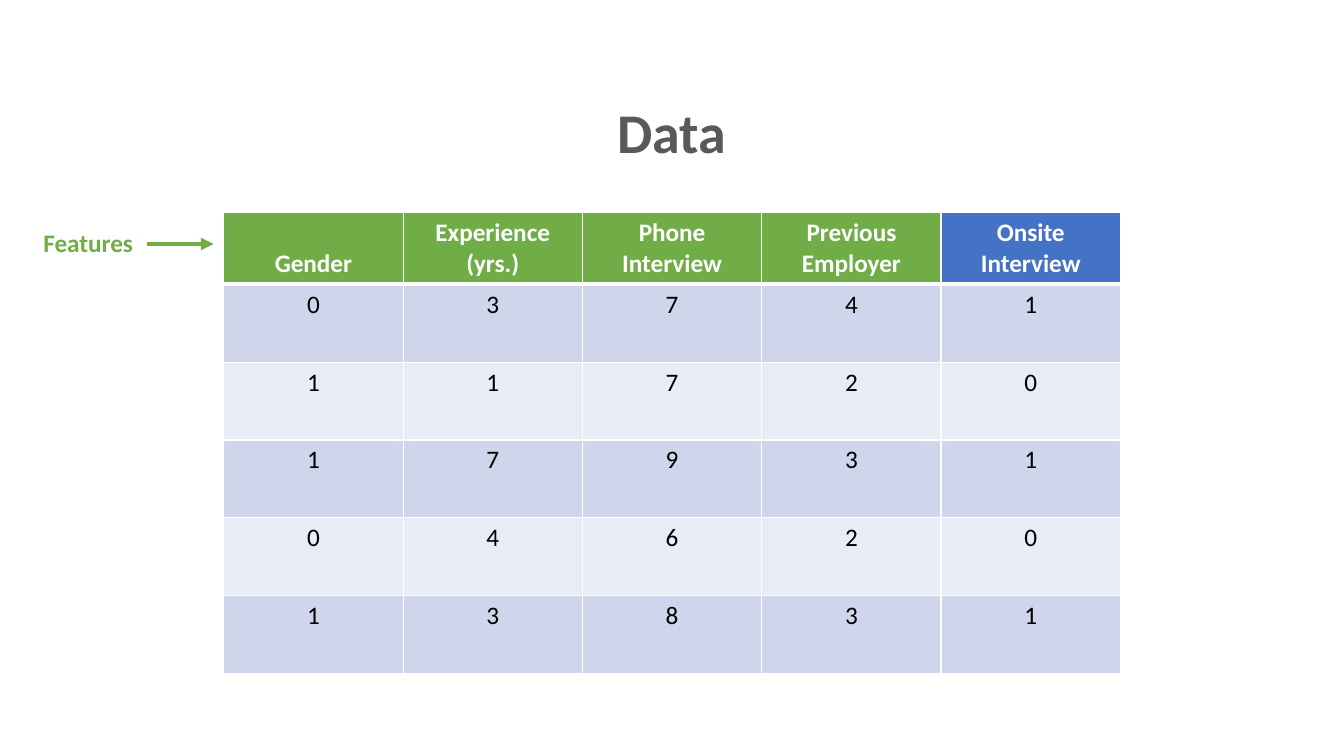
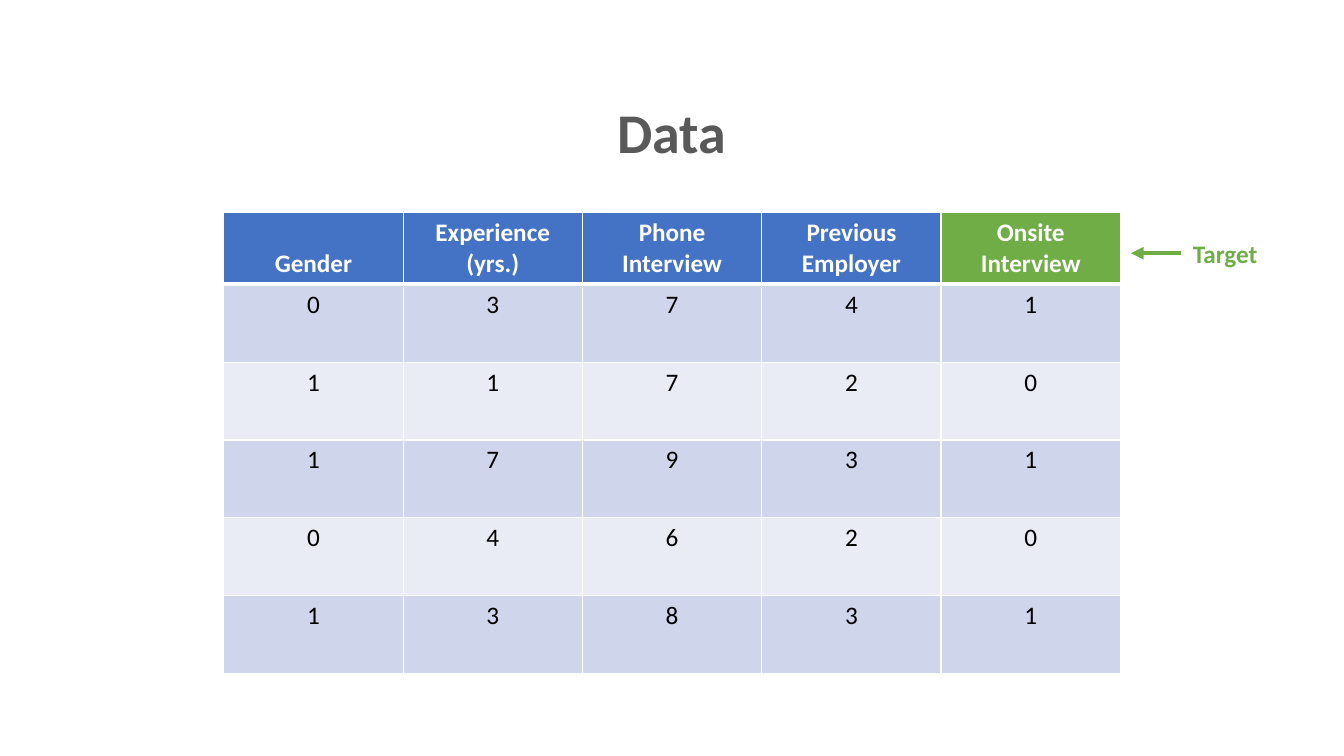
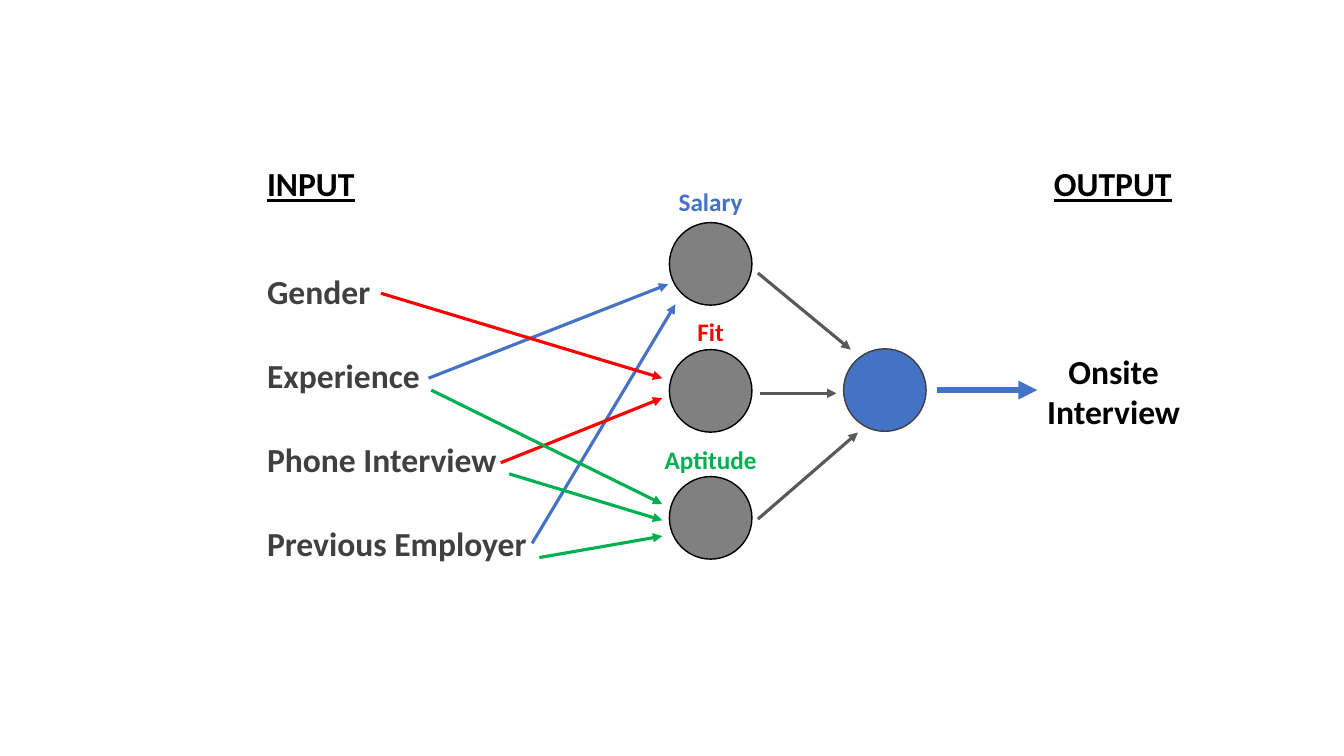
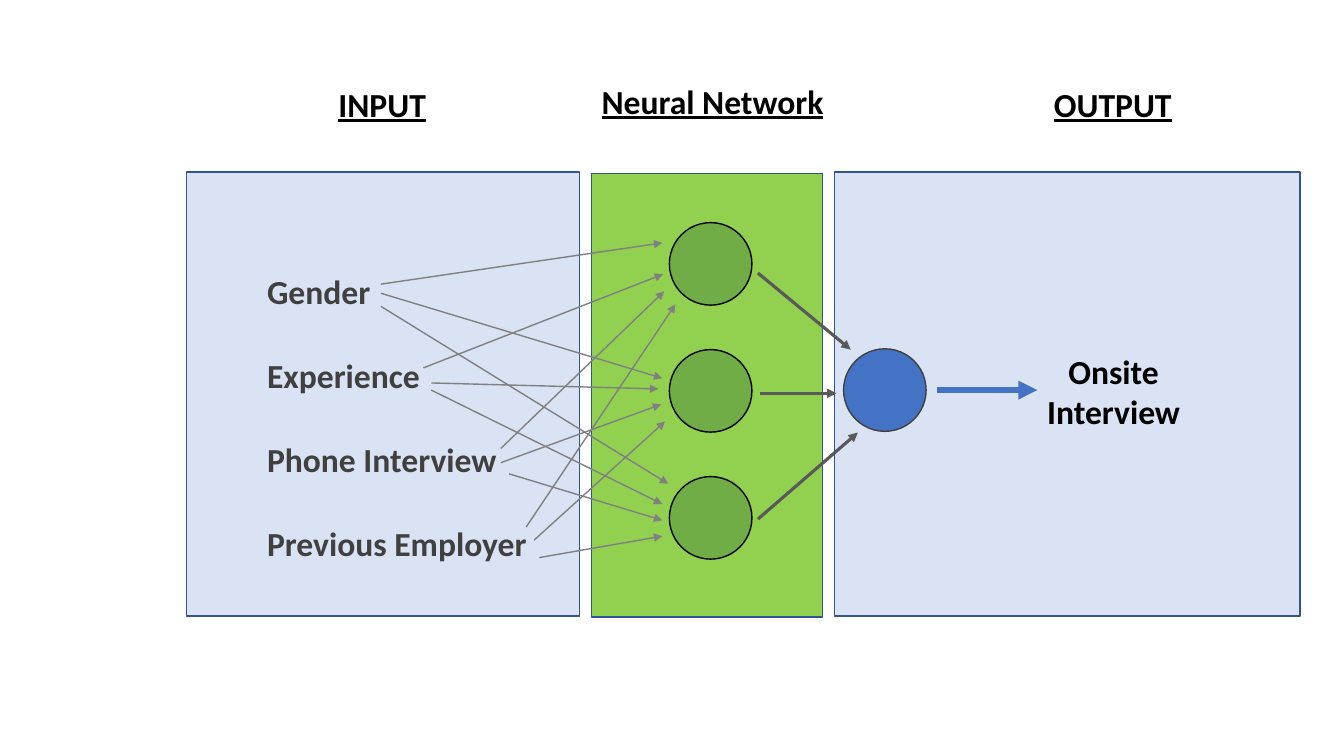
from dataclasses import dataclass

from lxml import etree
from pptx import Presentation
from pptx.dml.color import RGBColor
from pptx.enum import shapes, text
from pptx.oxml import ns
from pptx.util import Cm, Pt


@dataclass(frozen=True)
class Theme:
    font: str = "Calibri"
    # Type sizes in points
    title_size: int = 40
    heading_size: int = 24
    label_size: int = 18
    # Colours
    white: str = "FFFFFF"
    black: str = "000000"
    blue: str = "4472C4"
    green: str = "70AD47"
    red: str = "FF0000"
    bright_green: str = "00B050"
    grey: str = "808080"
    dark_grey: str = "595959"
    charcoal: str = "404040"
    band_dark: str = "CFD5EA"
    band_light: str = "E9EBF5"
    panel_blue: str = "DAE3F3"
    panel_green: str = "92D050"
    panel_edge: str = "325491"


THEME = Theme()
LEFT, CENTER = text.PP_ALIGN.LEFT, text.PP_ALIGN.CENTER

# Interview data
HEADERS = ["Gender", "Experience\n(yrs.)", "Phone Interview",
           "Previous Employer", "Onsite Interview"]
CANDIDATES = [
    [0, 3, 7, 4, 1],
    [1, 1, 7, 2, 0],
    [1, 7, 9, 3, 1],
    [0, 4, 6, 2, 0],
    [1, 3, 8, 3, 1],
]

# Network geometry in cm
INPUTS = [("Gender", 3.15), ("Experience", 4.39),
          ("Phone Interview", 6.35), ("Previous Employer", 7.11)]
INPUT_LEFT, INPUT_TOP, INPUT_STEP = 6.48, 6.71, 2.11
NEURON_LEFT, NEURON_TOP, NEURON_STEP, NEURON_SIZE = 16.87, 5.61, 3.2, 2.08

# Links as (start, end), shared by both network slides
GENDER_FIT = ((9.6, 7.39), (16.69, 9.53))
EXPERIENCE_APTITUDE = ((10.87, 9.83), (16.69, 12.7))
PHONE_APTITUDE = ((12.83, 11.94), (16.69, 13.11))
EMPLOYER_APTITUDE = ((13.59, 14.05), (16.69, 13.51))
NEURON_OUTPUT = [
    ((19.1, 6.88), (21.44, 8.81)),
    ((19.15, 9.91), (21.08, 9.91)),
    ((19.1, 13.08), (21.62, 10.9)),
]


def rgb(colour):
    return RGBColor.from_string(colour)


def cm_box(*lengths):
    return [Cm(length) for length in lengths]


# Element helpers
def write(frame, words, size, colour, bold=True, underline=None, align=CENTER):
    frame.text = words
    for paragraph in frame.paragraphs:
        paragraph.alignment = align
        for run in paragraph.runs:
            font = run.font
            font.name, font.size = THEME.font, Pt(size)
            font.bold, font.underline = bold, underline
            font.color.rgb = rgb(colour)


def add_label(slide, words, box, size, colour, wrap=False, **style):
    frame = slide.shapes.add_textbox(*cm_box(*box)).text_frame
    frame.word_wrap = wrap
    write(frame, words, size, colour, **style)


def add_heading(slide, words, left, top, width):
    add_label(slide, words, (left, top, width, 1.27), THEME.heading_size,
              THEME.black, underline=True, align=LEFT)


def add_figure(slide, preset, box, fill, edge):
    figure = slide.shapes.add_shape(preset, *cm_box(*box))
    figure.shadow.inherit = False
    figure.fill.solid()
    figure.fill.fore_color.rgb = rgb(fill)
    figure.line.color.rgb = rgb(edge)
    figure.line.width = Pt(1)


def add_neuron(slide, left, top, fill, edge):
    add_figure(slide, shapes.MSO_SHAPE.OVAL,
               (left, top, NEURON_SIZE, NEURON_SIZE), fill, edge)


def add_arrow(slide, link, colour, width):
    start, end = link
    arrow = slide.shapes.add_connector(
        shapes.MSO_CONNECTOR.STRAIGHT, *cm_box(*start, *end))
    arrow.line.color.rgb = rgb(colour)
    arrow.line.width = Pt(width)
    properties = arrow._element.spPr
    line = properties.find(ns.qn("a:ln"))
    etree.SubElement(line, ns.qn("a:tailEnd"), type="triangle")
    etree.SubElement(properties, ns.qn("a:effectLst"))


def add_title(slide, words):
    title = slide.shapes.title
    title.left, title.top, title.width, title.height = cm_box(
        11.46, 1.7, 10.95, 3.2)
    title.text_frame.auto_size = text.MSO_AUTO_SIZE.NONE
    title.text_frame.vertical_anchor = text.MSO_ANCHOR.MIDDLE
    write(title.text_frame, words, THEME.title_size, THEME.dark_grey)


def set_borders(cell, bottom):
    properties = cell._tc.get_or_add_tcPr()
    for side, width in (("L", 1), ("R", 1), ("T", 1), ("B", bottom)):
        line = etree.SubElement(properties, ns.qn(f"a:ln{side}"),
                                w=str(Pt(width)))
        fill = etree.SubElement(line, ns.qn("a:solidFill"))
        etree.SubElement(fill, ns.qn("a:srgbClr"), val=THEME.white)


def fill_cell(cell, words, fill, colour, bold=False, bottom=1):
    set_borders(cell, bottom)
    cell.fill.solid()
    cell.fill.fore_color.rgb = rgb(fill)
    write(cell.text_frame, words, THEME.label_size, colour, bold=bold)


def add_data_table(slide, header_fills):
    column_width, header_height, row_height = 4.52, 1.78, 1.96
    columns, rows = len(HEADERS), len(CANDIDATES)
    table = slide.shapes.add_table(rows + 1, columns, *cm_box(
        5.64, 5.36, column_width * columns,
        header_height + row_height * rows)).table
    for column in table.columns:
        column.width = Cm(column_width)
    for row in table.rows:
        row.height = Cm(row_height)
    table.rows[0].height = Cm(header_height)

    for column, (header, fill) in enumerate(zip(HEADERS, header_fills)):
        cell = table.cell(0, column)
        fill_cell(cell, header, fill, THEME.white, bold=True, bottom=3)
        cell.vertical_anchor = text.MSO_ANCHOR.BOTTOM
    for row, candidate in enumerate(CANDIDATES, start=1):
        band = THEME.band_dark if row % 2 else THEME.band_light
        for column, value in enumerate(candidate):
            fill_cell(table.cell(row, column), str(value), band, THEME.black)


def add_network(slide, neuron_fill):
    # Input features
    for index, (feature, width) in enumerate(INPUTS):
        top = INPUT_TOP + index * INPUT_STEP
        add_label(slide, feature, (INPUT_LEFT, top, width, 2.06),
                  THEME.heading_size, THEME.charcoal, align=LEFT)
    # Hidden and output neurons
    for index in range(3):
        add_neuron(slide, NEURON_LEFT, NEURON_TOP + index * NEURON_STEP,
                   neuron_fill, THEME.black)
    add_neuron(slide, 21.26, 8.79, THEME.blue, THEME.charcoal)
    for link in NEURON_OUTPUT:
        add_arrow(slide, link, THEME.dark_grey, 2.25)
    # Result
    add_arrow(slide, ((23.62, 9.83), (26.14, 9.83)), THEME.blue, 4.5)
    add_label(slide, "Onsite\nInterview", (26.11, 8.71, 3.91, 2.31),
              THEME.heading_size, THEME.black)


# Slides
def add_data_slide(deck, header_fills, role, role_left, role_top, arrow):
    slide = deck.slides.add_slide(deck.slide_layouts[5])
    add_title(slide, "Data")
    add_data_table(slide, header_fills)
    add_arrow(slide, arrow, THEME.green, 3)
    add_label(slide, role, (role_left, role_top, 2.77, 1.02),
              THEME.label_size, THEME.green, wrap=True)


def add_concept_slide(deck):
    slide = deck.slides.add_slide(deck.slide_layouts[6])
    add_heading(slide, "INPUT", INPUT_LEFT, 3.99, 2.74)
    add_heading(slide, "OUTPUT", 26.31, 3.99, 3.51)
    add_network(slide, THEME.grey)

    concepts = [
        ("Salary", 4.57, 2.13, THEME.blue, [
            ((10.8, 9.53), (16.84, 7.16)),
            ((13.41, 13.69), (17.02, 7.67))]),
        ("Fit", 7.85, 1.19, THEME.red, [
            GENDER_FIT,
            ((12.62, 11.66), (16.69, 10.03))]),
        ("Aptitude", 11.07, 2.84, THEME.bright_green, [
            EXPERIENCE_APTITUDE, PHONE_APTITUDE, EMPLOYER_APTITUDE]),
    ]
    neuron_center = NEURON_LEFT + NEURON_SIZE / 2
    for concept, top, width, colour, links in concepts:
        add_label(slide, concept,
                  (neuron_center - width / 2, top, width, 1.02),
                  THEME.label_size, colour)
        for link in links:
            add_arrow(slide, link, colour, 2.25)


def add_neural_network_slide(deck):
    slide = deck.slides.add_slide(deck.slide_layouts[6])
    panels = [
        (21.03, 4.34, 11.73, THEME.panel_blue),
        (4.7, 4.34, 9.91, THEME.panel_blue),
        (14.91, 4.37, 5.82, THEME.panel_green),
    ]
    for left, top, width, fill in panels:
        add_figure(slide, shapes.MSO_SHAPE.RECTANGLE,
                   (left, top, width, 11.18), fill, THEME.panel_edge)
    add_network(slide, THEME.green)

    # Every input feeds every neuron
    links = [
        ((9.6, 7.16), (16.69, 6.12)),
        GENDER_FIT,
        ((9.6, 7.72), (16.84, 12.19)),
        ((10.67, 9.27), (16.71, 6.91)),
        ((10.87, 9.65), (16.59, 9.8)),
        EXPERIENCE_APTITUDE,
        ((12.62, 11.3), (16.74, 7.34)),
        ((12.62, 11.66), (16.66, 10.19)),
        PHONE_APTITUDE,
        ((13.26, 13.28), (17.02, 7.67)),
        ((13.46, 13.61), (16.76, 10.62)),
        EMPLOYER_APTITUDE,
    ]
    for link in links:
        add_arrow(slide, link, THEME.grey, 1)

    add_heading(slide, "INPUT", 8.28, 1.98, 2.74)
    add_heading(slide, "Neural Network", 14.91, 1.91, 6.15)
    add_heading(slide, "OUTPUT", 26.31, 1.98, 3.51)


def main():
    deck = Presentation()
    deck.slide_width, deck.slide_height = Cm(33.87), Cm(19.05)
    add_data_slide(deck, [THEME.green] * 4 + [THEME.blue], "Features",
                   0.84, 5.61, ((3.71, 6.15), (5.38, 6.15)))
    add_data_slide(deck, [THEME.blue] * 4 + [THEME.green], "Target",
                   29.49, 5.87, ((29.77, 6.38), (28.5, 6.38)))
    add_concept_slide(deck)
    add_neural_network_slide(deck)
    deck.save("out.pptx")


if __name__ == "__main__":
    main()
